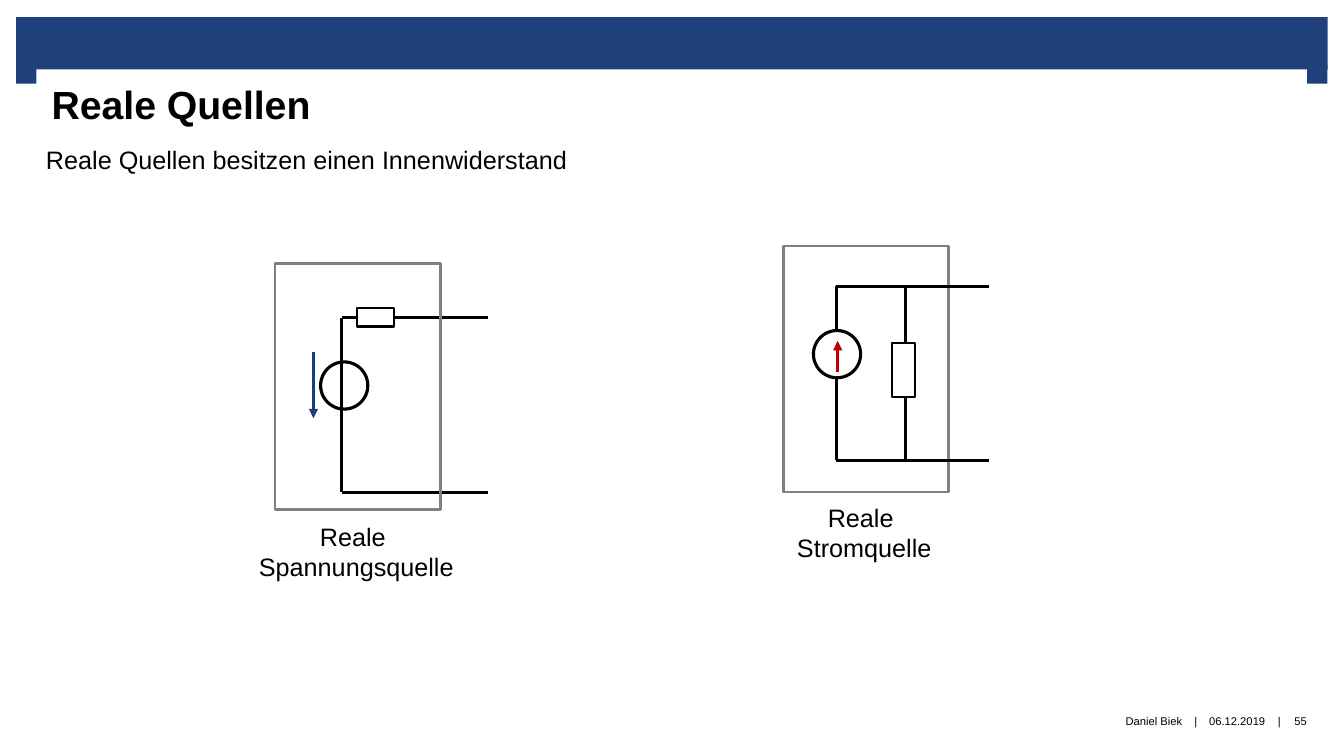
import pptx
import pptx.util
import pptx.dml.color
import pptx.enum.shapes
import pptx.enum.text
import pptx.oxml
import pptx.oxml.ns

Cm, Pt = pptx.util.Cm, pptx.util.Pt
SHAPE = pptx.enum.shapes.MSO_SHAPE
ALIGN = pptx.enum.text.PP_ALIGN
ANCHOR = pptx.enum.text.MSO_ANCHOR

COLORS = {"banner": "1F407A", "voltage": "1C3E7A", "current": "C00000",
          "black": "000000", "white": "FFFFFF", "frame": "808080"}


def rgb(name):
    return pptx.dml.color.RGBColor.from_string(COLORS[name])


class Deck:
    """Holds the style and the current slide."""
    font = "Arial"

    def __init__(self, width, height):
        self.prs = pptx.Presentation()
        self.prs.slide_width, self.prs.slide_height = Cm(width), Cm(height)

    def new_slide(self):
        self.slide = self.prs.slides.add_slide(self.prs.slide_layouts[5])

    def fill_text(self, sp, lines, size, align, anchor, insets, wrap, bold=False):
        tf = sp.text_frame
        left, top, right, bottom = (Cm(v) for v in insets)
        frame_format = {"margin_left": left, "margin_top": top,
                        "margin_right": right, "margin_bottom": bottom,
                        "word_wrap": wrap, "vertical_anchor": anchor,
                        "auto_size": pptx.enum.text.MSO_AUTO_SIZE.NONE}
        for key, value in frame_format.items():
            setattr(tf, key, value)
        font_format = {"name": self.font, "size": Pt(size), "bold": bold}
        for i, line in enumerate(lines):
            p = tf.add_paragraph() if i else tf.paragraphs[0]
            p.alignment = align
            r = p.add_run()
            r.text = line
            for key, value in font_format.items():
                setattr(r.font, key, value)
            r.font.color.rgb = rgb("black")

    def title(self, text, x, y, w, h):
        sp = self.slide.shapes.title
        sp.left, sp.top, sp.width, sp.height = Cm(x), Cm(y), Cm(w), Cm(h)
        self.fill_text(sp, [text], 28, ALIGN.LEFT, ANCHOR.TOP,
                       (0.41, 0.3, 0.41, 0), True, bold=True)

    def text(self, lines, x, y, w, h, size=18, align=ALIGN.CENTER,
             anchor=ANCHOR.TOP, insets=(0.25, 0.13, 0.25, 0.13)):
        sp = self.slide.shapes.add_textbox(Cm(x), Cm(y), Cm(w), Cm(h))
        self.fill_text(sp, lines, size, align, anchor, insets, False)

    def shape(self, kind, x, y, w, h, fill=None, line=None, weight=2.25):
        sp = self.slide.shapes.add_shape(kind, Cm(x), Cm(y), Cm(w), Cm(h))
        sp.shadow.inherit = False
        if fill:
            sp.fill.solid()
            sp.fill.fore_color.rgb = rgb(fill)
        else:
            sp.fill.background()
        if line:
            sp.line.color.rgb = rgb(line)
            sp.line.width = Pt(weight)
        else:
            sp.line.fill.background()

    def line(self, x1, y1, x2, y2, color="black", arrow=False):
        cx = self.slide.shapes.add_connector(
            pptx.enum.shapes.MSO_CONNECTOR.STRAIGHT, Cm(x1), Cm(y1), Cm(x2), Cm(y2))
        cx.line.color.rgb = rgb(color)
        cx.line.width = Pt(2.25)
        spPr = cx._element.spPr
        if arrow:
            ns = pptx.oxml.ns.nsdecls("a")
            spPr.find(pptx.oxml.ns.qn("a:ln")).append(
                pptx.oxml.parse_xml(f'<a:tailEnd {ns} type="triangle"/>'))
        spPr.append(spPr.makeelement(pptx.oxml.ns.qn("a:effectLst"), {}))

    # Circuit parts
    def wires(self, left, top, bottom, right):
        self.line(left, bottom, left, top)
        for y in (top, bottom):
            self.line(left, y, right, y)

    def source(self, x, y, fill=None):
        self.shape(SHAPE.OVAL, x, y, 1.19, 1.19, fill, "black")

    def resistor(self, x, y, w, h):
        self.shape(SHAPE.RECTANGLE, x, y, w, h, "white", "black", 1.5)

    def housing(self, x, y):
        self.shape(SHAPE.RECTANGLE, x, y, 4.17, 6.2, None, "frame", 2)


def main():
    d = Deck(33.87, 19.05)
    d.new_slide()

    # Banner
    d.shape(SHAPE.RECTANGLE, 0.41, 0.43, 33.05, 1.32, "banner")
    for x in (0.41, 32.94):
        d.shape(SHAPE.RECTANGLE, x, 1.65, 0.51, 0.46, "banner")

    # Title and statement
    d.title("Reale Quellen", 0.89, 1.73, 32.05, 2.82)
    d.text(["Reale Quellen besitzen einen Innenwiderstand"],
           0.91, 3.51, 13.77, 1.02, align=ALIGN.LEFT)

    # Voltage source with series resistor
    d.wires(left=8.61, top=8.01, bottom=12.4, right=12.29)
    d.source(8.08, 9.12)
    d.line(7.9, 8.86, 7.9, 10.54, "voltage", arrow=True)
    d.resistor(8.99, 7.77, 0.94, 0.46)
    d.housing(6.93, 6.65)
    d.text(["Reale ", "Spannungsquelle"], 6.25, 13, 5.46, 1.8)

    # Current source with parallel resistor
    d.housing(19.74, 6.2)
    d.text(["Reale ", "Stromquelle"], 19.81, 12.52, 3.94, 1.8)
    d.wires(left=21.08, top=7.21, bottom=11.6, right=24.92)
    d.line(22.81, 11.6, 22.81, 7.21)
    d.source(20.5, 8.33, "white")
    d.line(21.11, 9.37, 21.11, 8.59, "current", arrow=True)
    d.resistor(22.48, 8.64, 0.58, 1.37)

    # Footer
    for text, x, w, align in (("Daniel Biek", 16.92, 12.88, ALIGN.RIGHT),
                              ("|", 29.95, 0.38, ALIGN.CENTER),
                              ("06.12.2019", 30.33, 1.7, ALIGN.CENTER),
                              ("|", 32.05, 0.38, ALIGN.CENTER),
                              ("55", 32.28, 0.99, ALIGN.CENTER)):
        d.text([text], x, 17.52, w, 1.29, 8, align, ANCHOR.MIDDLE, (0, 0, 0, 0))

    d.prs.save("out.pptx")


if __name__ == "__main__":
    main()
